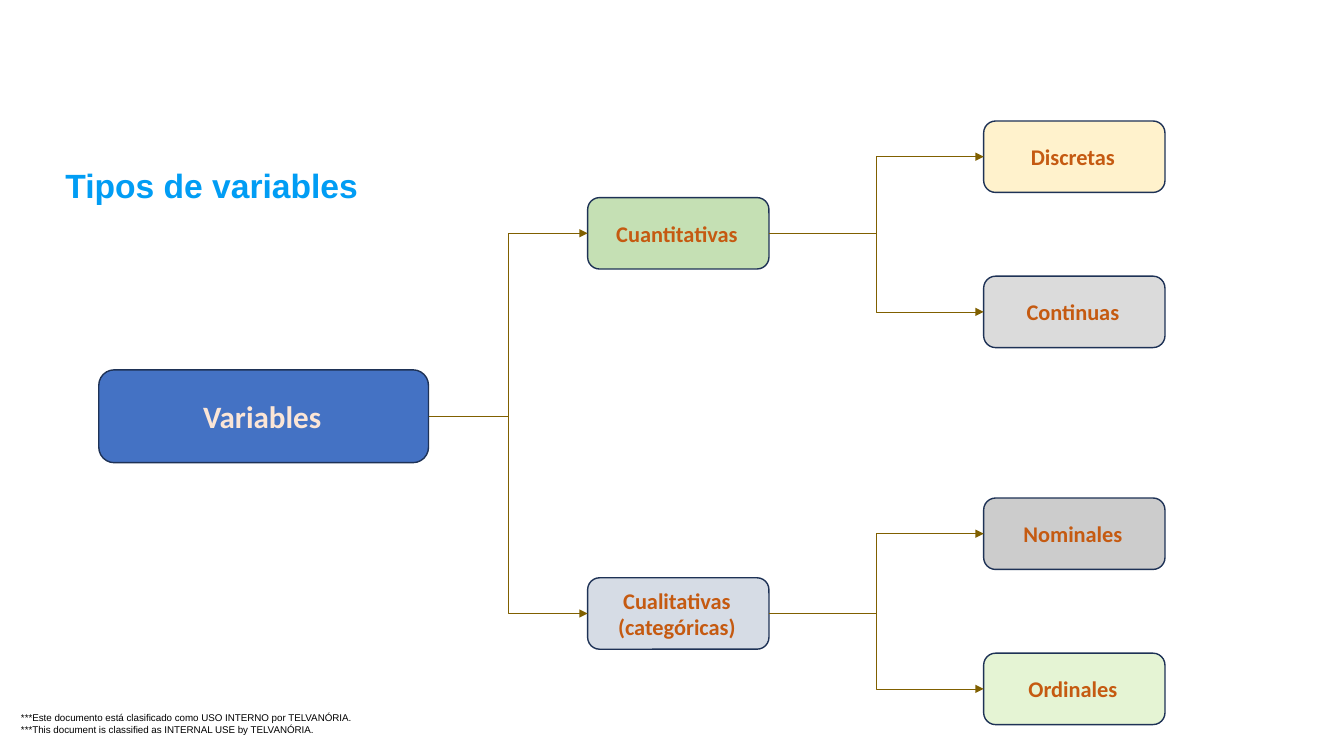
from lxml.etree import SubElement
from pptx import Presentation
from pptx.dml.color import RGBColor
from pptx.enum.shapes import MSO_CONNECTOR, MSO_SHAPE
from pptx.enum.text import MSO_ANCHOR, PP_ALIGN
from pptx.oxml.ns import qn
from pptx.util import Cm, Pt

COLORS = {
    "title": "019DF4", "footer": "000000", "outline": "1E3256", "arrow": "806000",
    "root": "4472C4", "root_text": "FBE5D6", "node_text": "C55A11",
    "quantitative": "C5E0B4", "qualitative": "D6DCE5", "discrete": "FFF2CC",
    "continuous": "DBDBDB", "nominal": "CCCCCC", "ordinal": "E5F4D4",
}
NODE_WIDTH, NODE_HEIGHT = 4.57, 1.8
KIND_LEFT, SUBKIND_LEFT = 14.81, 24.79
RIGHT_SIDE, LEFT_SIDE = 3, 1

# label, fill, vertical centre (cm), subkinds of the same form
KINDS = [
    ("Cuantitativas", "quantitative", 5.88, [
        ("Discretas", "discrete", 3.95),
        ("Continuas", "continuous", 7.86)]),
    ("Cualitativas\n(categóricas)", "qualitative", 15.46, [
        ("Nominales", "nominal", 13.45),
        ("Ordinales", "ordinal", 17.36)]),
]


def rgb(name):
    return RGBColor.from_string(COLORS[name])


def style_text(frame, text, font_name, size, color, bold=False, align=PP_ALIGN.LEFT):
    frame.word_wrap = True
    frame.text = text
    for paragraph in frame.paragraphs:
        paragraph.alignment = align
        font = paragraph.font
        font.name, font.size, font.bold = font_name, Pt(size), bold
        font.color.rgb = rgb(color)


def add_label(slide, text, left, top, width, height, size, color, bold=False, inset=None):
    label = slide.shapes.add_textbox(Cm(left), Cm(top), Cm(width), Cm(height))
    frame = label.text_frame
    if inset is not None:
        frame.margin_left = frame.margin_right = Cm(inset)
        frame.margin_top = frame.margin_bottom = Cm(inset)
    style_text(frame, text, "Arial", size, color, bold)


def add_node(slide, text, fill, left, middle, width=NODE_WIDTH, height=NODE_HEIGHT,
             size=16, color="node_text"):
    node = slide.shapes.add_shape(MSO_SHAPE.ROUNDED_RECTANGLE, Cm(left),
                                  Cm(middle - height / 2), Cm(width), Cm(height))
    node.shadow.inherit = False
    node.fill.solid()
    node.fill.fore_color.rgb = rgb(fill)
    node.line.color.rgb = rgb("outline")
    node.line.width = Pt(1)
    frame = node.text_frame
    frame.margin_left, frame.margin_right = Cm(0.13), Cm(0.2)
    frame.margin_top = frame.margin_bottom = Cm(0.1)
    frame.vertical_anchor = MSO_ANCHOR.MIDDLE
    style_text(frame, text, "Calibri", size, color, True, PP_ALIGN.CENTER)
    return node


def add_branch(slide, parent, child):
    """Join the parent's right side to the child's left side with an elbow arrow."""
    branch = slide.shapes.add_connector(
        MSO_CONNECTOR.ELBOW,
        parent.left + parent.width, parent.top + parent.height // 2,
        child.left, child.top + child.height // 2)
    branch.begin_connect(parent, RIGHT_SIDE)
    branch.end_connect(child, LEFT_SIDE)
    branch.line.color.rgb = rgb("arrow")
    branch.line.width = Pt(0.5)
    properties = branch._element.spPr
    SubElement(properties.find(qn("a:ln")), qn("a:tailEnd"), type="triangle")
    SubElement(properties, qn("a:effectLst"))


def main():
    deck = Presentation()
    deck.slide_width, deck.slide_height = Cm(33.87), Cm(19.05)
    slide = deck.slides.add_slide(deck.slide_layouts[6])

    add_label(slide, "***Este documento está clasificado como USO INTERNO por TELVANÓRIA.\v"
              "***This document is classified as INTERNAL USE by TELVANÓRIA.",
              0.53, 17.93, 9.5, 0.58, 7, "footer", inset=0)
    add_label(slide, "Tipos de variables", 1.4, 4.04, 19.05, 1.42, 24, "title", bold=True)

    root = add_node(slide, "Variables", "root", 2.49, 10.49, 8.31, 2.34, 22.2, "root_text")
    for text, fill, middle, subkinds in KINDS:
        kind = add_node(slide, text, fill, KIND_LEFT, middle)
        add_branch(slide, root, kind)
        for subtext, subfill, submiddle in subkinds:
            subkind = add_node(slide, subtext, subfill, SUBKIND_LEFT, submiddle)
            add_branch(slide, kind, subkind)

    deck.save("out.pptx")


if __name__ == "__main__":
    main()
